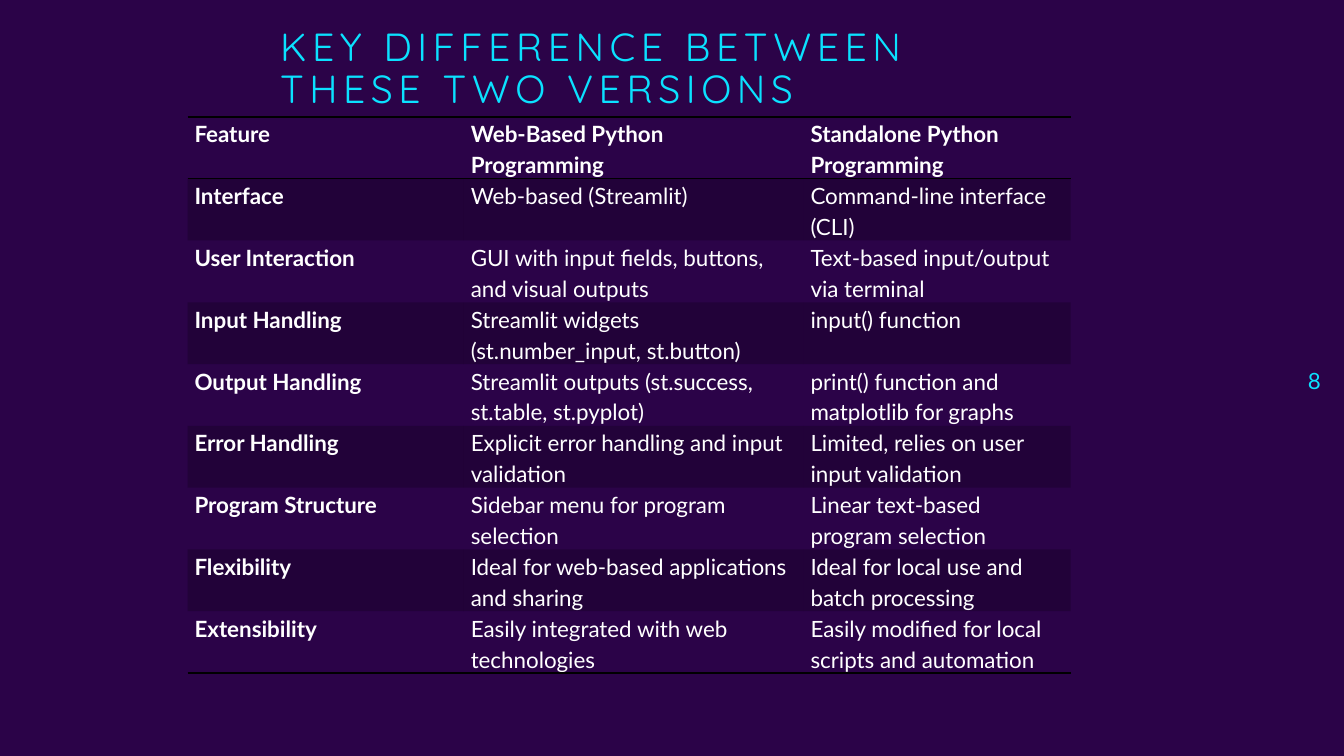
"""Build the slide comparing web-based and standalone Python programming."""
from dataclasses import dataclass

from lxml import etree
from pptx import Presentation
from pptx.dml.color import RGBColor
from pptx.enum.text import MSO_ANCHOR, PP_ALIGN
from pptx.oxml.ns import qn
from pptx.util import Inches, Pt

LEFT, RIGHT = PP_ALIGN.LEFT, PP_ALIGN.RIGHT
TOP, MIDDLE = MSO_ANCHOR.TOP, MSO_ANCHOR.MIDDLE
PURPLE, CYAN, WHITE, BLACK = "2B0348", "0BE1FF", "FFFFFF", "000000"
NO_STYLE = "{2D5ABB26-0587-4C30-8999-92F81FD0307C}"
COL_WIDTHS = (2.74, 3.37, 2.65)
HEADER_HEIGHT, ROW_HEIGHT = 0.59, 0.58


@dataclass
class Label:
    text: str
    left: float
    top: float
    width: float
    height: float
    font: str
    size: int
    align: PP_ALIGN = LEFT
    anchor: MSO_ANCHOR = TOP
    line_spacing: float = 1.0
    tracking: int = 0


@dataclass
class Comparison:
    feature: str
    web: str
    standalone: str


LABELS = [
    Label("KEY DIFFERENCE BETWEEN THESE TWO VERSIONS", 2.68, 0.22, 7.32, 0.89,
          "Quicksand", 28, line_spacing=0.9, tracking=4),
    Label("8", 12.6, 3.46, 0.6, 0.63, "Lato", 16, RIGHT, MIDDLE),
]

ROWS = [
    Comparison("Feature", "Web-Based Python Programming", "Standalone Python Programming"),
    Comparison("Interface", "Web-based (Streamlit)", "Command-line interface (CLI)"),
    Comparison("User Interaction", "GUI with input fields, buttons, and visual outputs",
               "Text-based input/output via terminal"),
    Comparison("Input Handling", "Streamlit widgets (st.number_input, st.button)",
               "input() function"),
    Comparison("Output Handling", "Streamlit outputs (st.success, st.table, st.pyplot)",
               "print() function and matplotlib for graphs"),
    Comparison("Error Handling", "Explicit error handling and input validation",
               "Limited, relies on user input validation"),
    Comparison("Program Structure", "Sidebar menu for program selection",
               "Linear text-based program selection"),
    Comparison("Flexibility", "Ideal for web-based applications and sharing",
               "Ideal for local use and batch processing"),
    Comparison("Extensibility", "Easily integrated with web technologies",
               "Easily modified for local scripts and automation"),
]


def rgb(color: str) -> RGBColor:
    return RGBColor.from_string(color)


def add_run(p, text: str, font: str, size: int, color: str, bold: bool = False):
    r = p.add_run()
    r.text = text
    r.font.name = font
    r.font.size = Pt(size)
    r.font.bold = bold
    r.font.color.rgb = rgb(color)
    return r


def add_label(s, label: Label) -> None:
    sp = s.shapes.add_textbox(Inches(label.left), Inches(label.top),
                              Inches(label.width), Inches(label.height))
    tf = sp.text_frame
    tf.word_wrap = True
    tf.vertical_anchor = label.anchor
    p = tf.paragraphs[0]
    p.alignment = label.align
    p.line_spacing = label.line_spacing
    r = add_run(p, label.text, label.font, label.size, CYAN)
    if label.tracking:
        r.font._element.set("spc", str(label.tracking * 100))


def add_border(cell, side: str) -> None:
    tc_pr = cell._tc.get_or_add_tcPr()
    ln = etree.SubElement(tc_pr, qn(f"a:{side}"), w=str(Pt(1)))
    fill = etree.SubElement(ln, qn("a:solidFill"))
    etree.SubElement(fill, qn("a:srgbClr"), val=BLACK)


def shade(cell, banded: bool) -> None:
    if not banded:
        cell.fill.background()
        return
    cell.fill.solid()
    cell.fill.fore_color.rgb = rgb(BLACK)
    clr = cell._tc.tcPr.find(f".//{qn('a:solidFill')}/{qn('a:srgbClr')}")
    etree.SubElement(clr, qn("a:alpha"), val="20000")


def fill_cell(cell, text: str, bold: bool) -> None:
    cell.margin_left = cell.margin_right = Inches(0.07)
    cell.margin_top = cell.margin_bottom = 0
    p = cell.text_frame.paragraphs[0]
    p.line_spacing = 1.15
    p.space_after = Pt(10)
    add_run(p, text, "Lato", 16, WHITE, bold)


def add_comparison_table(s, rows: list[Comparison]) -> None:
    last = len(rows) - 1
    height = HEADER_HEIGHT + ROW_HEIGHT * last
    table = s.shapes.add_table(len(rows), len(COL_WIDTHS), Inches(1.86), Inches(1.16),
                               Inches(sum(COL_WIDTHS)), Inches(height)).table
    table.horz_banding = False
    table._tbl.tblPr.find(qn("a:tableStyleId")).text = NO_STYLE
    for column, width in zip(table.columns, COL_WIDTHS):
        column.width = Inches(width)
    for i, row in enumerate(rows):
        table.rows[i].height = Inches(ROW_HEIGHT if i else HEADER_HEIGHT)
        for j, text in enumerate((row.feature, row.web, row.standalone)):
            cell = table.cell(i, j)
            fill_cell(cell, text, bold=i == 0 or j == 0)
            if i == 0:
                add_border(cell, "lnT")
            if i in (0, last):
                add_border(cell, "lnB")
            shade(cell, banded=i % 2 == 1)


def main() -> None:
    prs = Presentation()
    prs.slide_width, prs.slide_height = Inches(13.33), Inches(7.5)
    s = prs.slides.add_slide(prs.slide_layouts[6])
    s.background.fill.solid()
    s.background.fill.fore_color.rgb = rgb(PURPLE)
    for label in LABELS:
        add_label(s, label)
    add_comparison_table(s, ROWS)
    prs.save("out.pptx")


if __name__ == "__main__":
    main()
